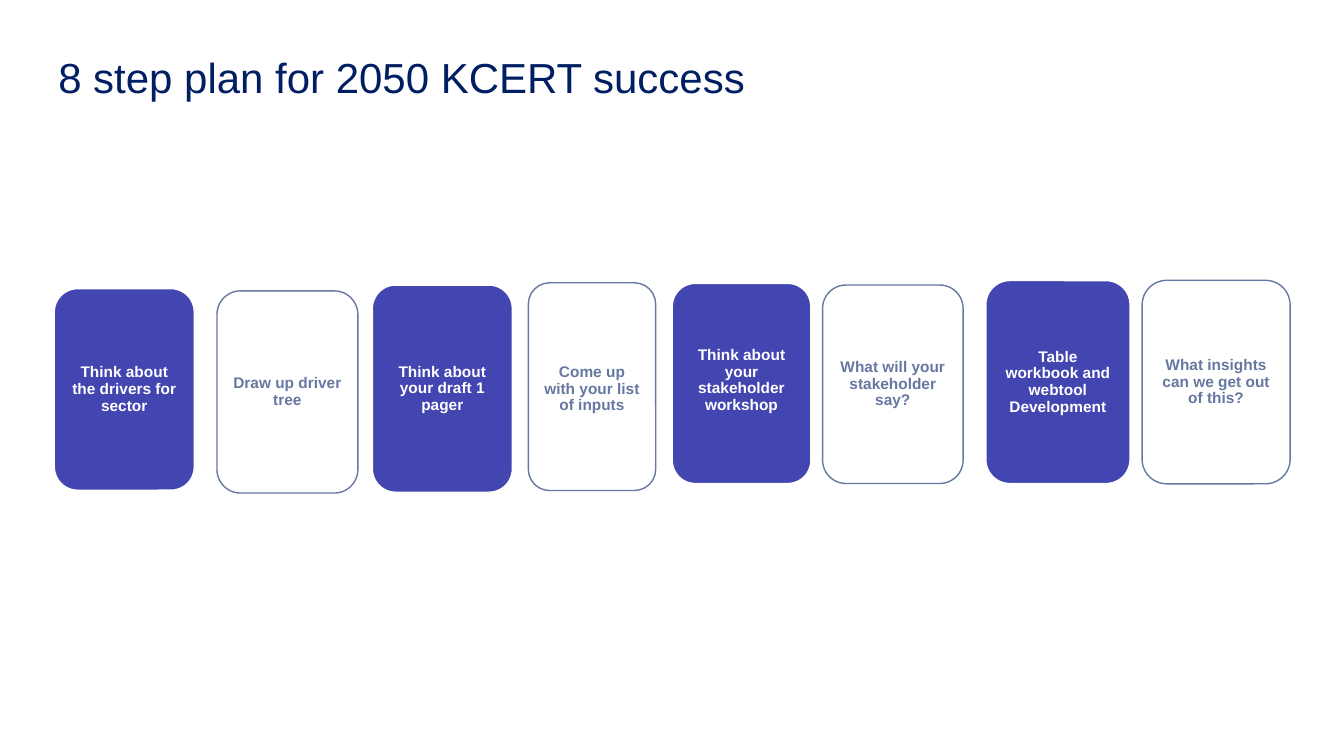
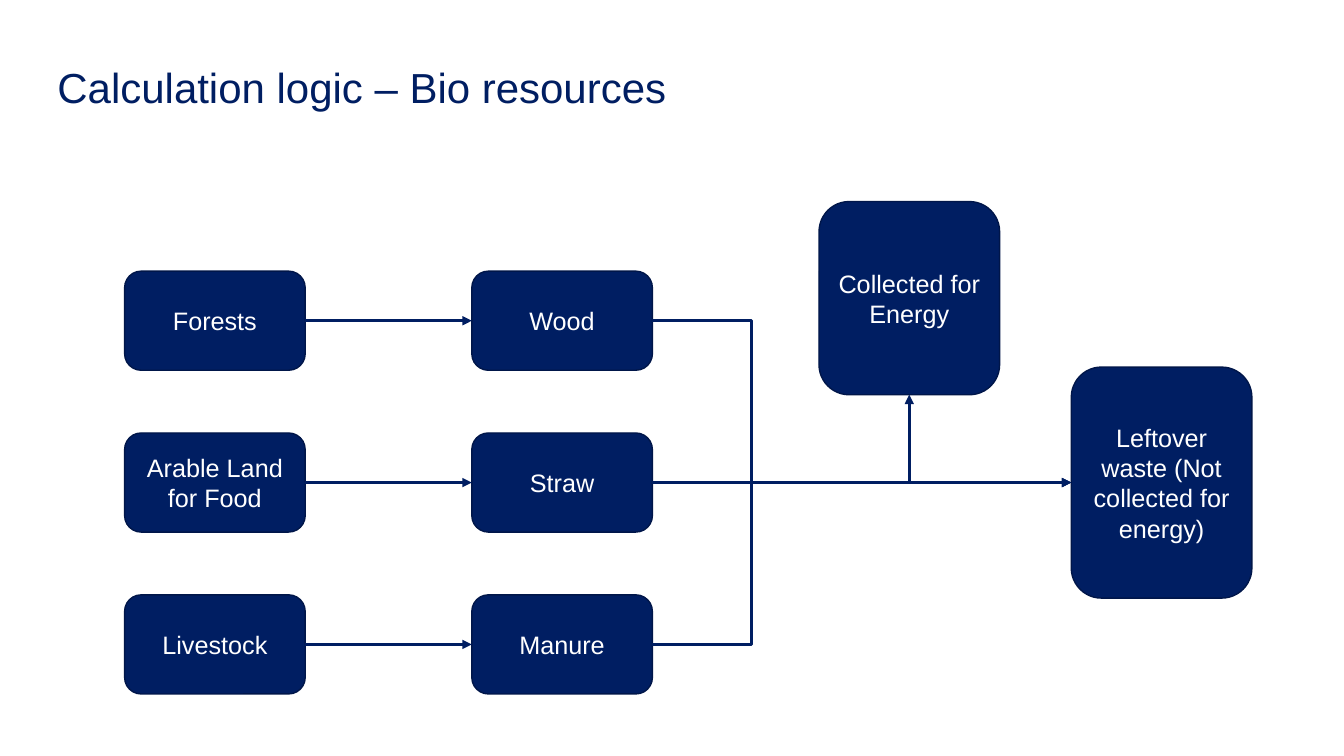
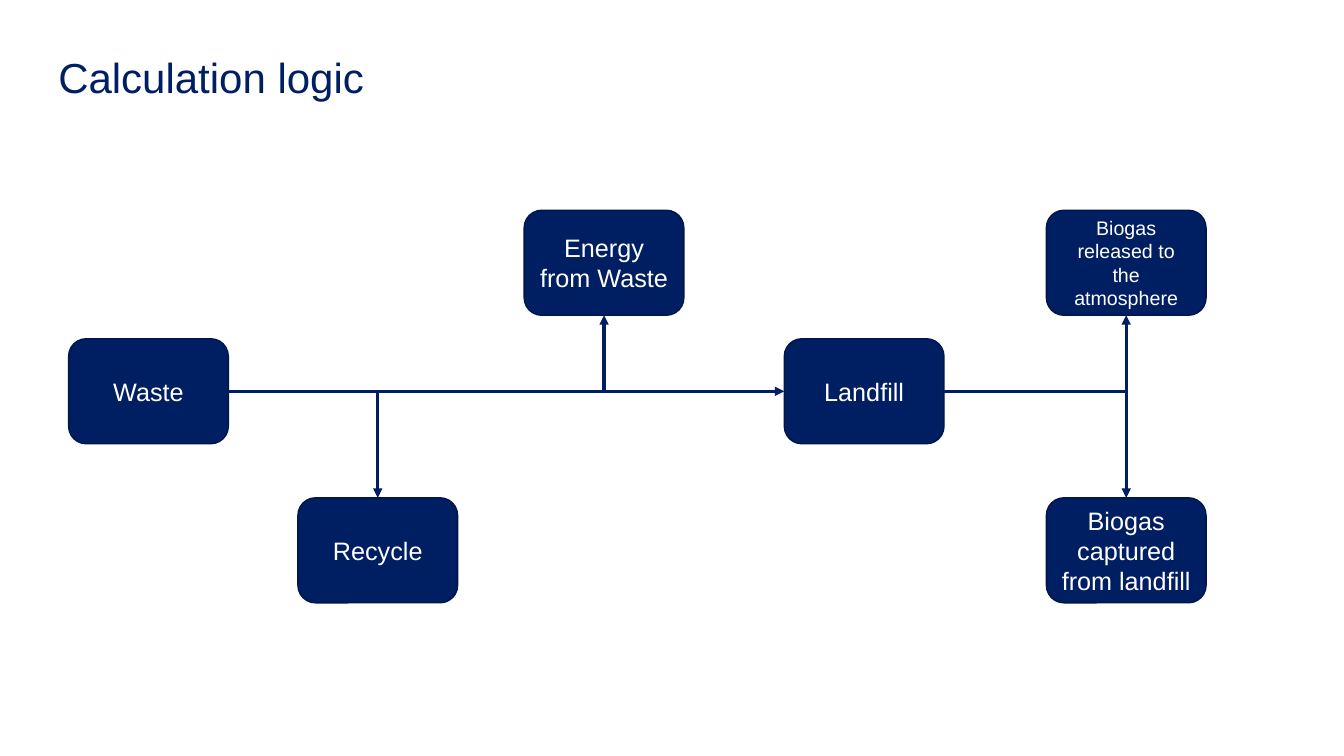
"""Build the step plan and the two calculation logic slides."""
from dataclasses import dataclass

from lxml import etree
from pptx import Presentation
from pptx import util as u
from pptx.dml.color import RGBColor
from pptx.enum import shapes, text
from pptx.oxml.ns import qn


@dataclass(frozen=True)
class Theme:
    font: str = "Arial"
    navy: str = "001E62"
    navy_edge: str = "001649"
    violet: str = "4345B0"
    slate: str = "6678A1"
    white: str = "FFFFFF"
    title_size: float = 30
    node_size: float = 18
    small_size: float = 14
    step_size: float = 11
    edge_width: float = 1
    arrow_width: float = 2.25
    tight: float = 0.9


@dataclass(frozen=True)
class Area:
    left: float
    top: float
    width: float
    height: float

    def lengths(self) -> tuple:
        return tuple(u.Pt(n) for n in (self.left, self.top, self.width, self.height))


@dataclass(frozen=True)
class Step:
    label: str
    area: Area
    shift: float = 0


@dataclass(frozen=True)
class Node:
    label: str
    area: Area
    size: float = Theme.node_size


@dataclass(frozen=True)
class Arrow:
    start: str
    end: str
    end_site: int
    preset: str = "line"
    bend: int | None = None


THEME = Theme()
TOP, LEFT, BOTTOM, RIGHT = range(4)
TITLE_AREA = Area(41.6, 41, 877.7, 51)
LOW_TITLE_AREA = Area(41, 47.7, 877.7, 51)

STEPS = (
    Step("Think about the drivers for sector", Area(38.8, 206.2, 100, 144)),
    Step("Draw up driver tree", Area(155, 207.8, 100.6, 144.4)),
    Step("Think about your draft 1 pager", Area(266, 203.6, 100, 148)),
    Step("Come up with your list of inputs", Area(377.4, 202, 91, 148.4), 1.8),
    Step("Think about your stakeholder workshop", Area(480.2, 202.4, 99, 143), -2.2),
    Step("What will your stakeholder say?", Area(587.6, 203.6, 100.4, 141.8)),
    Step("Table workbook and webtool Development", Area(704.2, 200.4, 103, 145)),
    Step("What insights can we get out of this?", Area(815.8, 200.2, 105.8, 145.4)),
)

RESOURCE_ROWS = (("Forests", "Wood"), ("Arable Land for Food", "Straw"), ("Livestock", "Manure"))
RESOURCE_COLUMNS = (89, 337)
RESOURCE_NODES = tuple(
    Node(label, Area(left, 193.7 + 115.6 * row, 129, 70.8))
    for row, labels in enumerate(RESOURCE_ROWS)
    for label, left in zip(labels, RESOURCE_COLUMNS)
) + (
    Node("Collected for Energy", Area(585, 144, 129, 138)),
    Node("Leftover waste (Not collected for energy)", Area(765.2, 262.2, 129, 165)),
)
LEFTOVER = RESOURCE_NODES[-1].label
RESOURCE_ARROWS = tuple(Arrow(source, product, LEFT) for source, product in RESOURCE_ROWS) + (
    Arrow("Wood", LEFTOVER, LEFT, "bentConnector3", 23700),
    Arrow("Straw", LEFTOVER, LEFT),
    Arrow("Manure", LEFTOVER, LEFT, "bentConnector3", 23700),
    Arrow("Straw", "Collected for Energy", BOTTOM, "bentConnector2"),
)


def waste_area(left: float, top: float) -> Area:
    """Return the area of a box in the waste diagram."""
    return Area(left, top, 114.1, 75)


UPPER, MIDDLE, LOWER = 150.2, 242, 355.6
WASTE_NODES = (
    Node("Waste", waste_area(49, MIDDLE)),
    Node("Recycle", waste_area(212.8, LOWER)),
    Node("Energy from Waste", waste_area(374.4, UPPER)),
    Node("Landfill", waste_area(560.2, MIDDLE)),
    Node("Biogas captured from landfill", waste_area(747.4, LOWER)),
    Node("Biogas released to the atmosphere", waste_area(747.4, UPPER), THEME.small_size),
)
WASTE_ARROWS = (
    Arrow("Waste", "Landfill", LEFT),
    Arrow("Waste", "Recycle", TOP, "bentConnector2"),
    Arrow("Waste", "Energy from Waste", BOTTOM, "bentConnector2"),
    Arrow("Landfill", "Biogas released to the atmosphere", BOTTOM, "bentConnector2"),
    Arrow("Landfill", "Biogas captured from landfill", TOP, "bentConnector2"),
)


def write(frame, words: str, size: float, color: str, align, bold: bool = False, spacing: float = 1) -> None:
    """Put one formatted paragraph into a text frame."""
    frame.word_wrap = True
    frame.auto_size = text.MSO_AUTO_SIZE.NONE
    para = frame.paragraphs[0]
    para.alignment = align
    para.line_spacing = spacing
    span = para.add_run()
    span.text = words
    span.font.name = THEME.font
    span.font.size = u.Pt(size)
    span.font.bold = bold
    span.font.color.rgb = RGBColor.from_string(color)


def set_margins(frame, left: float, top: float, right: float, bottom: float) -> None:
    """Set the four inner margins of a text frame."""
    frame.margin_left, frame.margin_top = u.Pt(left), u.Pt(top)
    frame.margin_right, frame.margin_bottom = u.Pt(right), u.Pt(bottom)


def add_page(deck, title: str, area: Area):
    """Add a title-only page with the shared title style."""
    page = deck.slides.add_slide(deck.slide_layouts[5])
    box = page.shapes.title
    box.left, box.top, box.width, box.height = area.lengths()
    frame = box.text_frame
    frame.vertical_anchor = text.MSO_ANCHOR.TOP
    set_margins(frame, 0, 0, 0, 0)
    write(frame, title, THEME.title_size, THEME.navy, text.PP_ALIGN.LEFT, spacing=THEME.tight)
    return page


def add_box(page, area: Area, fill: str, edge: str):
    """Add a rounded box with a fill and an edge."""
    box = page.shapes.add_shape(shapes.MSO_SHAPE.ROUNDED_RECTANGLE, *area.lengths())
    box.shadow.inherit = False
    box.fill.solid()
    box.fill.fore_color.rgb = RGBColor.from_string(fill)
    box.line.color.rgb = RGBColor.from_string(edge)
    box.line.width = u.Pt(THEME.edge_width)
    box.text_frame.vertical_anchor = text.MSO_ANCHOR.MIDDLE
    return box


def add_step(page, step: Step, filled: bool) -> None:
    """Add a step card, either filled or outlined."""
    fill, edge, ink = (
        (THEME.violet, THEME.white, THEME.white) if filled else (THEME.white, THEME.slate, THEME.slate)
    )
    frame = add_box(page, step.area, fill, edge).text_frame
    set_margins(frame, 5, 5 + max(0, 2 * step.shift), 5, 5 + max(0, -2 * step.shift))
    write(frame, step.label, THEME.step_size, ink, text.PP_ALIGN.CENTER, True, THEME.tight)


def add_node(page, node: Node):
    """Add a diagram box and return it."""
    box = add_box(page, node.area, THEME.navy, THEME.navy_edge)
    write(box.text_frame, node.label, node.size, THEME.white, text.PP_ALIGN.CENTER)
    return box


def add_arrow(page, boxes: dict, arrow: Arrow) -> None:
    """Join the right side of one box to a site of another with an arrow."""
    kind = shapes.MSO_CONNECTOR.STRAIGHT if arrow.preset == "line" else shapes.MSO_CONNECTOR.ELBOW
    connector = page.shapes.add_connector(kind, 0, 0, 0, 0)
    connector.begin_connect(boxes[arrow.start], RIGHT)
    connector.end_connect(boxes[arrow.end], arrow.end_site)
    connector.line.color.rgb = RGBColor.from_string(THEME.navy)
    connector.line.width = u.Pt(THEME.arrow_width)
    properties = connector.element.find(qn("p:spPr"))
    geometry = properties.find(qn("a:prstGeom"))
    geometry.set("prst", arrow.preset)
    if arrow.bend is not None:
        guides = geometry.find(qn("a:avLst"))
        etree.SubElement(guides, qn("a:gd"), name="adj1", fmla=f"val {arrow.bend}")
    etree.SubElement(properties.find(qn("a:ln")), qn("a:tailEnd"), type="triangle")
    etree.SubElement(properties, qn("a:effectLst"))


def add_diagram(page, nodes: tuple, arrows: tuple) -> None:
    """Add all boxes of a diagram and the arrows between them."""
    boxes = {node.label: add_node(page, node) for node in nodes}
    for arrow in arrows:
        add_arrow(page, boxes, arrow)


def main() -> None:
    """Build and save the deck."""
    deck = Presentation()
    deck.slide_width, deck.slide_height = u.Pt(960), u.Pt(540)
    page = add_page(deck, "8 step plan for 2050 KCERT success", TITLE_AREA)
    for index, step in enumerate(STEPS):
        add_step(page, step, filled=index % 2 == 0)
    page = add_page(deck, "Calculation logic – Bio resources", LOW_TITLE_AREA)
    add_diagram(page, RESOURCE_NODES, RESOURCE_ARROWS)
    page = add_page(deck, "Calculation logic", TITLE_AREA)
    add_diagram(page, WASTE_NODES, WASTE_ARROWS)
    deck.save("out.pptx")


if __name__ == "__main__":
    main()
